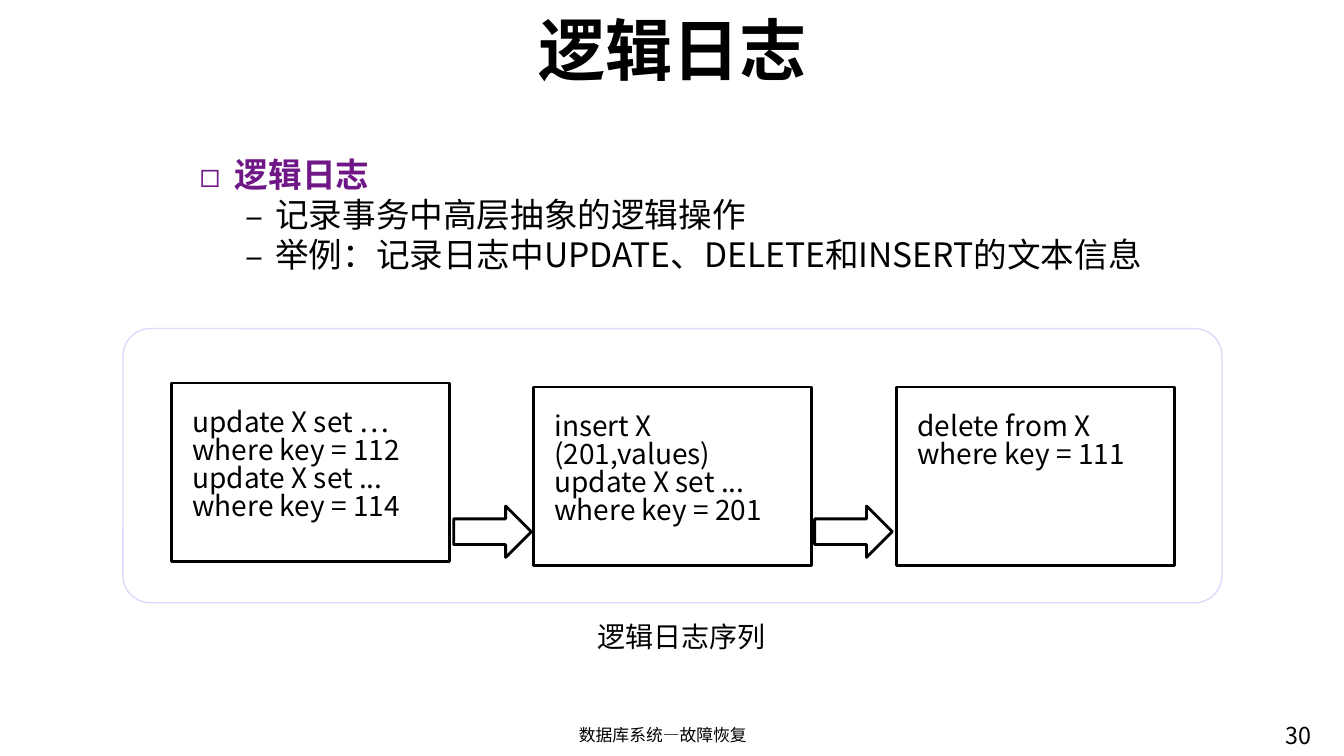
from dataclasses import dataclass

from lxml import etree
from pptx import Presentation
from pptx.dml.color import RGBColor
from pptx.enum.shapes import MSO_SHAPE
from pptx.enum.text import MSO_ANCHOR, MSO_AUTO_SIZE, PP_ALIGN
from pptx.oxml.ns import qn
from pptx.util import Inches, Pt

RECTANGLE = MSO_SHAPE.RECTANGLE
ROUNDED = MSO_SHAPE.ROUNDED_RECTANGLE
RIGHT_ARROW = MSO_SHAPE.RIGHT_ARROW
TOP, MIDDLE = MSO_ANCHOR.TOP, MSO_ANCHOR.MIDDLE
LEFT, CENTER = PP_ALIGN.LEFT, PP_ALIGN.CENTER
NO_AUTOFIT = MSO_AUTO_SIZE.NONE

FONT = "Noto Sans CJK SC"
LINE_SPACING = 0.83
COLORS = {"text": "000000", "accent": "6F1787", "panel": "DDD9FB", "paper": "FFFFFF"}


@dataclass
class Area:
    left: float
    top: float
    width: float
    height: float


@dataclass
class LogRecord:
    left: float
    top: float
    lines: list[str]


@dataclass
class Bullet:
    text: str
    level: int
    mark: str
    margin: float
    hanging: float
    color: str = "text"
    bold: bool = False


@dataclass
class Label:
    text: str
    area: Area
    size: float
    align: PP_ALIGN = LEFT


RECORDS = [
    LogRecord(1.7, 3.8, ["update X set …", "where key = 112", "update X set ...", "where key = 114"]),
    LogRecord(5.29, 3.84, ["insert X (201,values)", "update X set ...", "where key = 201"]),
    LogRecord(8.89, 3.84, ["delete from X", "where key = 111"]),
]
ARROW_LEFTS = [4.5, 8.08]
BULLETS = [
    Bullet("逻辑日志", 0, "◻", 0.35, 0.35, "accent", True),
    Bullet("记录事务中高层抽象的逻辑操作", 1, "–", 0.75, 0.29),
    Bullet("举例：记录日志中UPDATE、DELETE和INSERT的文本信息", 1, "–", 0.75, 0.29),
]
LABELS = [
    Label("逻辑日志序列", Area(5.83, 6.15, 1.9, 0.44), 20),
    Label("数据库系统—故障恢复", Area(4.47, 7.17, 4.21, 0.32), 12, CENTER),
    Label("30", Area(12.65, 7.15, 0.68, 0.35), 16.6),
]


def place(shape, area: Area) -> None:
    shape.left, shape.top = Inches(area.left), Inches(area.top)
    shape.width, shape.height = Inches(area.width), Inches(area.height)


def prepare_frame(frame, anchor: MSO_ANCHOR = TOP) -> None:
    frame.word_wrap = True
    frame.auto_size = NO_AUTOFIT
    frame.vertical_anchor = anchor


def add_span(para, text: str, size: float, color: str = "text", bold: bool = False) -> None:
    para.line_spacing = LINE_SPACING
    span = para.add_run()
    span.text = text
    span.font.size = Pt(size)
    span.font.bold = bold
    span.font.color.rgb = RGBColor.from_string(COLORS[color])
    span.font.name = FONT
    etree.SubElement(span.font._element, qn("a:ea"), typeface=FONT)


def add_lines(frame, lines: list[str], size: float, align: PP_ALIGN = LEFT) -> None:
    for index, line in enumerate(lines):
        para = frame.add_paragraph() if index else frame.paragraphs[0]
        para.alignment = align
        add_span(para, line, size)


def add_text(page, lines: list[str], area: Area, size: float, align: PP_ALIGN = LEFT) -> None:
    box = page.shapes.add_textbox(0, 0, 0, 0)
    place(box, area)
    prepare_frame(box.text_frame)
    add_lines(box.text_frame, lines, size, align)


def add_outline(page, kind: MSO_SHAPE, area: Area, color: str = "text", weight: float = 2):
    shape = page.shapes.add_shape(kind, 0, 0, 0, 0)
    place(shape, area)
    shape.shadow.inherit = False
    shape.fill.solid()
    shape.fill.fore_color.rgb = RGBColor.from_string(COLORS["paper"])
    shape.line.color.rgb = RGBColor.from_string(COLORS[color])
    shape.line.width = Pt(weight)
    return shape


def add_bullets(frame, bullets: list[Bullet]) -> None:
    for index, bullet in enumerate(bullets):
        para = frame.add_paragraph() if index else frame.paragraphs[0]
        para.level = bullet.level
        para.space_before = Pt(4.8 if index else 0)
        add_span(para, bullet.text, 24, bullet.color, bullet.bold)
        properties = para._p.get_or_add_pPr()
        properties.set("marL", str(Inches(bullet.margin)))
        properties.set("indent", str(-Inches(bullet.hanging)))
        etree.SubElement(properties, qn("a:buFont"), typeface=FONT)
        etree.SubElement(properties, qn("a:buChar"), char=bullet.mark)


def main() -> None:
    deck = Presentation()
    deck.slide_width, deck.slide_height = Inches(13.33), Inches(7.5)
    page = deck.slides.add_slide(deck.slide_layouts[1])

    title, body = page.shapes.title, page.placeholders[1]
    place(title, Area(1.15, 0.18, 11.04, 0.74))
    prepare_frame(title.text_frame, MIDDLE)
    title.text_frame.paragraphs[0].alignment = CENTER
    add_span(title.text_frame.paragraphs[0], "逻辑日志", 48, bold=True)

    place(body, Area(1.88, 1.54, 11.45, 5.44))
    prepare_frame(body.text_frame)
    add_bullets(body.text_frame, BULLETS)

    panel = add_outline(page, ROUNDED, Area(1.22, 3.26, 10.9, 2.72), "panel", 1)
    panel.adjustments[0] = 0.1
    for record in RECORDS:
        add_outline(page, RECTANGLE, Area(record.left, record.top, 2.76, 1.77))
        height = 0.1 + 0.34 * len(record.lines)
        add_text(page, record.lines, Area(record.left + 0.11, record.top + 0.22, 2.65, height), 20)
    for left in ARROW_LEFTS:
        add_outline(page, RIGHT_ARROW, Area(left, 5.02, 0.77, 0.51))
    for label in LABELS:
        add_text(page, [label.text], label.area, label.size, label.align)

    deck.save("out.pptx")


if __name__ == "__main__":
    main()
